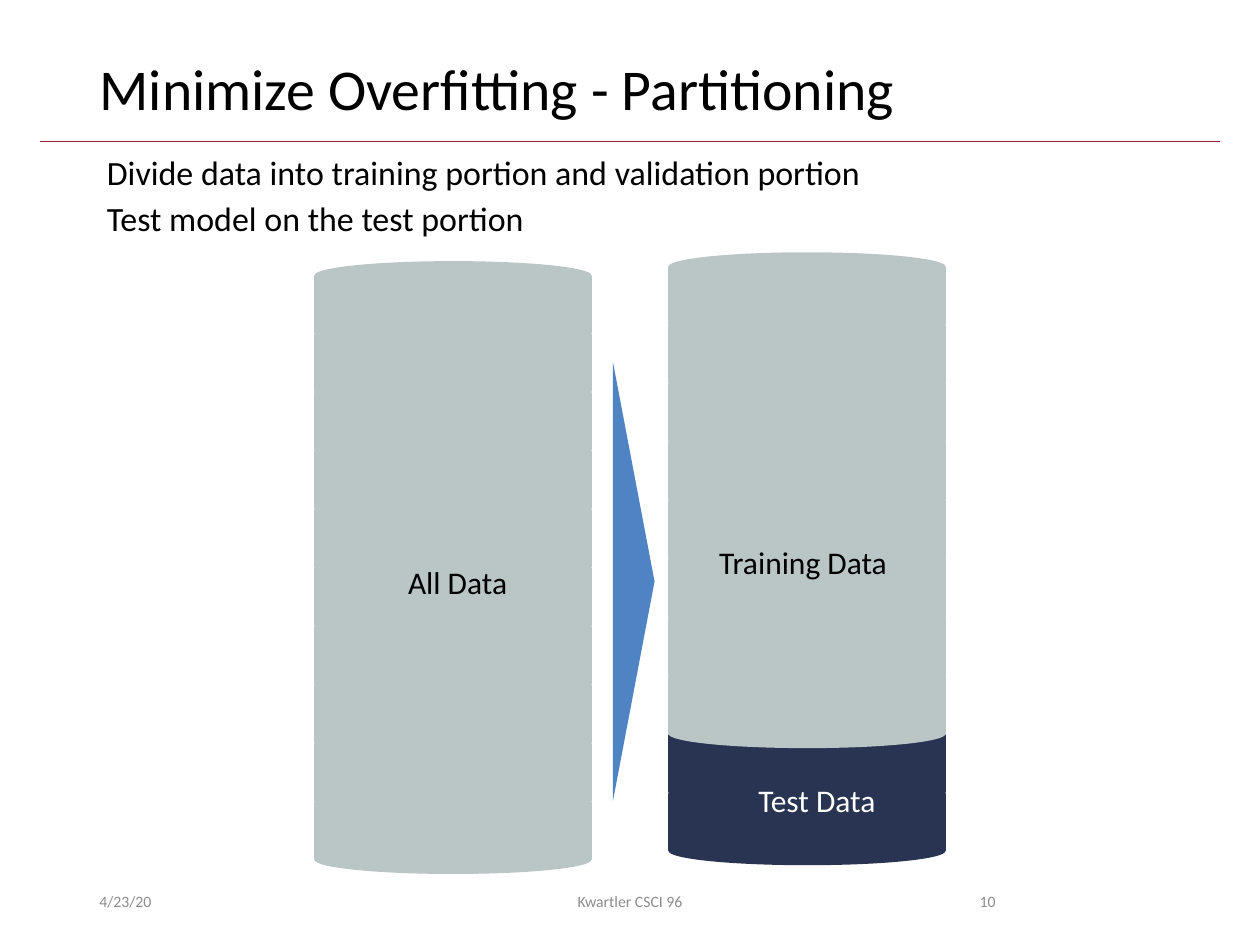
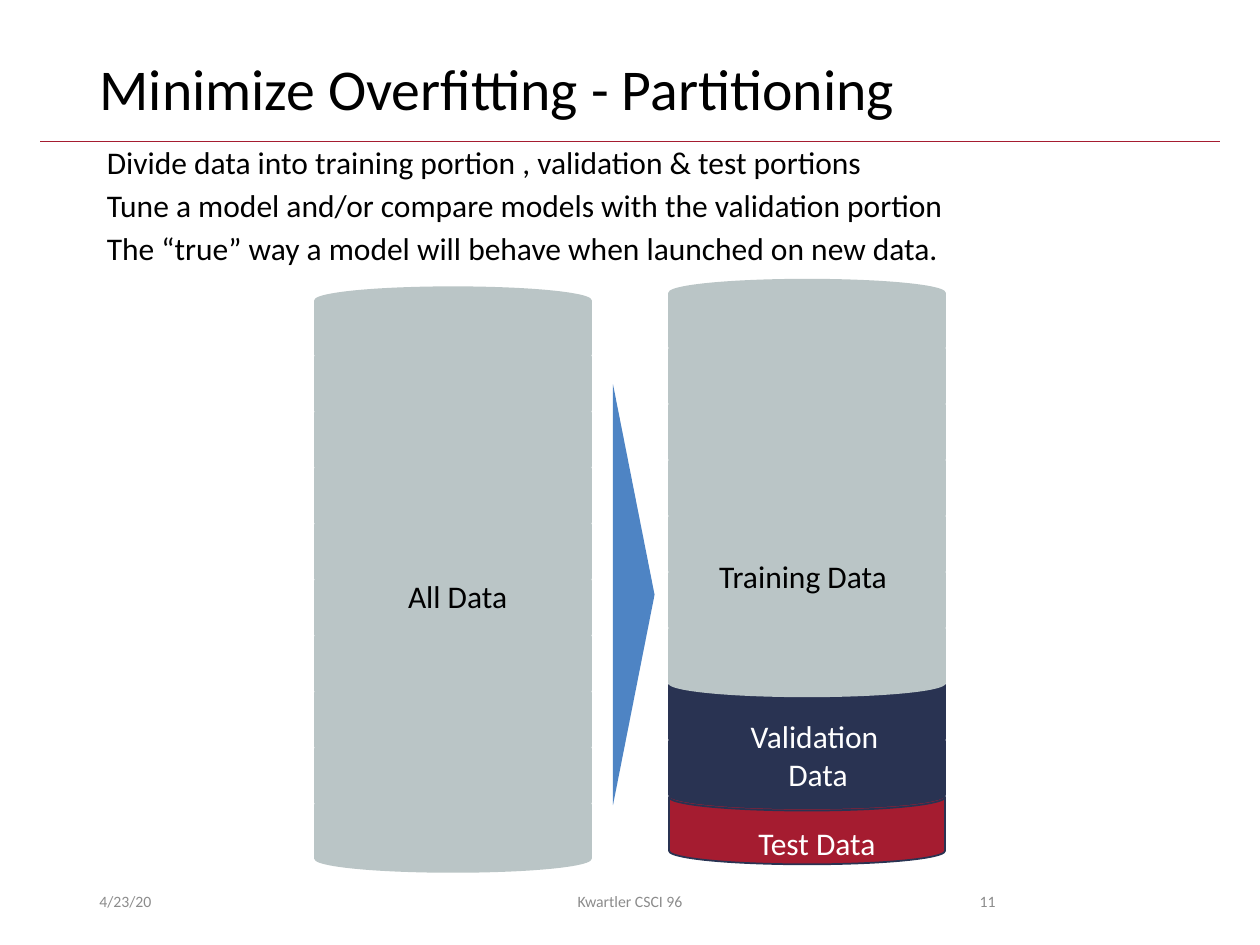
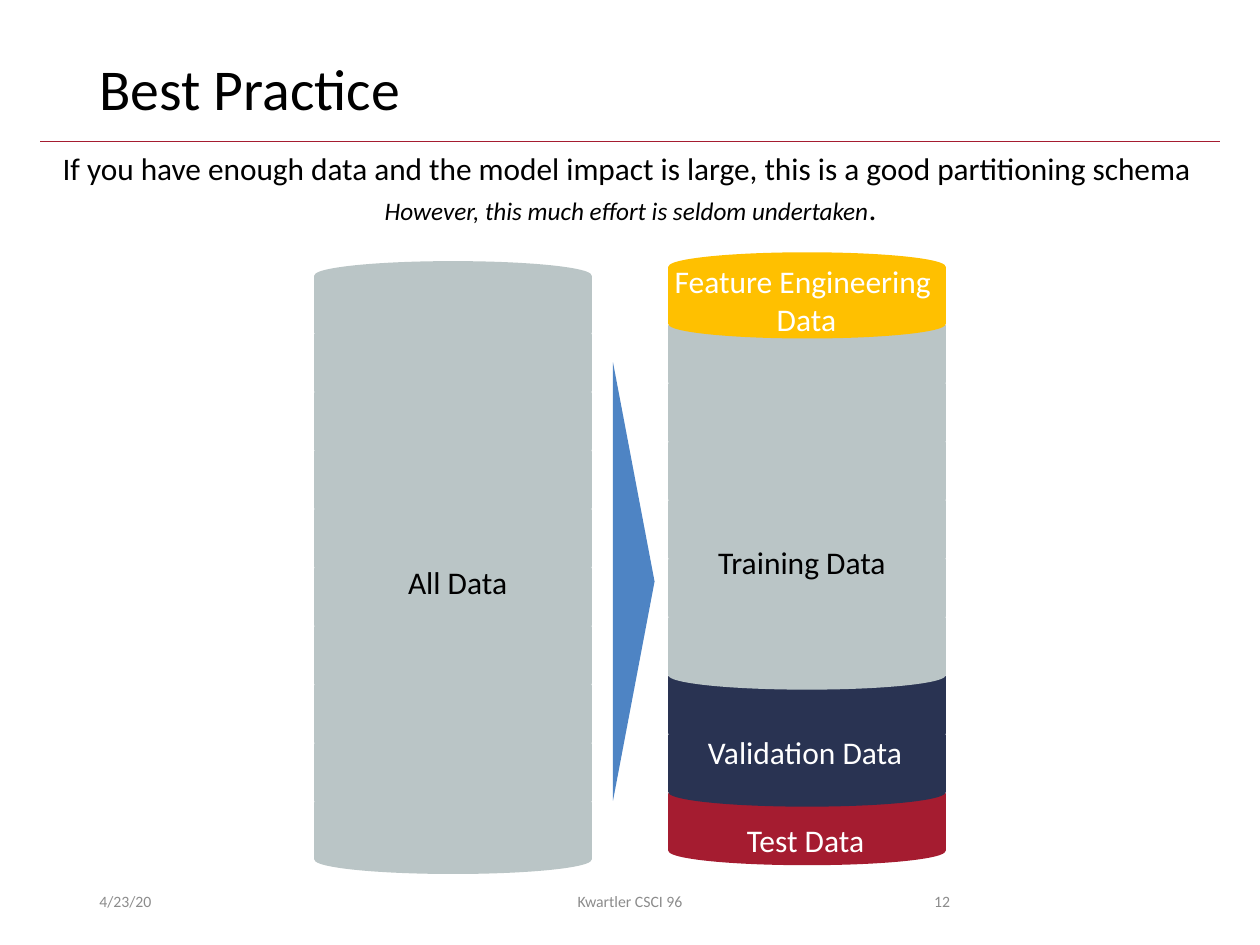
from lxml import etree
from pptx import Presentation, util as u
from pptx.dml.color import RGBColor
from pptx.enum import shapes, text
from pptx.oxml import ns

FONT = "Calibri"
BLACK, WHITE, MUTED = "000000", "FFFFFF", "8C8C8C"
GREY, NAVY, RED, GOLD, BLUE = "BAC5C6", "293352", "A51C30", "FFC000", "4E84C4"
LEFT, CENTER, RIGHT = text.PP_ALIGN.LEFT, text.PP_ALIGN.CENTER, text.PP_ALIGN.RIGHT

ALL_LEFT, SPLIT_LEFT, DISK_WIDTH = 2.5, 5.31, 2.19
DISK_COUNT = 10
ARROW_CENTER, ARROW_DEPTH = 5.03, 0.33

# Vertical measures of the diagram: top and bottom are those of the outer disks
TALL = dict(all_top=2.08, all_bottom=6.26, split_top=2.01, split_bottom=6.19,
            disk=0.67, arrow_middle=4.615, arrow_span=3.48)
SHORT = dict(all_top=2.28, all_bottom=6.28, split_top=2.22, split_bottom=6.22,
             disk=0.64, arrow_middle=4.72, arrow_span=3.34)


def color(value):
    return RGBColor.from_string(value)


def inches(box):
    return [u.Inches(value) for value in box]


# Text
def write_text(frame, lines, size=18, ink=BLACK, align=LEFT, spacing=None,
               before=None, hanging=0, anchor=text.MSO_ANCHOR.TOP, wrap=True):
    """Each line is a string or a list of (text, size, italic) runs."""
    frame.word_wrap = wrap
    frame.auto_size = (text.MSO_AUTO_SIZE.NONE if wrap
                       else text.MSO_AUTO_SIZE.SHAPE_TO_FIT_TEXT)
    frame.vertical_anchor = anchor
    for index, line in enumerate(lines):
        paragraph = frame.add_paragraph() if index else frame.paragraphs[0]
        paragraph.alignment = align
        if spacing:
            paragraph.line_spacing = spacing
        if before:
            paragraph.space_before = u.Pt(before)
        if hanging:
            properties = paragraph._p.get_or_add_pPr()
            properties.set("marL", str(u.Inches(hanging)))
            properties.set("indent", str(-u.Inches(hanging)))
        runs = [(line, size, False)] if isinstance(line, str) else line
        for content, run_size, italic in runs:
            run = paragraph.add_run()
            run.text = content
            run.font.name = FONT
            run.font.size = u.Pt(run_size)
            run.font.italic = italic
            run.font.color.rgb = color(ink)


def add_text(slide, box, lines, **style):
    write_text(slide.shapes.add_textbox(*inches(box)).text_frame, lines, **style)


def add_label(slide, box, *lines, ink=WHITE, align=LEFT):
    add_text(slide, box, lines, ink=ink, align=align, wrap=False)


def add_body(slide, box, lines, **style):
    add_text(slide, box, lines, before=7.5, hanging=0.19, **style)


# Shapes
def add_filled(slide, kind, box, fill, line=None):
    shape = slide.shapes.add_shape(kind, *inches(box))
    shape.shadow.inherit = False
    shape.fill.solid()
    shape.fill.fore_color.rgb = color(fill)
    if line:
        shape.line.color.rgb = color(line)
        shape.line.width = u.Pt(1)
    else:
        shape.line.fill.background()
    return shape


def add_stack(slide, left, top, bottom, disk, layers):
    """Pile up disks from the bottom; each layer is (count, fill, line)."""
    step = (bottom - top) / (DISK_COUNT - 1)
    disks = [(fill, line) for count, fill, line in layers for _ in range(count)]
    for index, (fill, line) in enumerate(disks):
        add_filled(slide, shapes.MSO_SHAPE.FLOWCHART_MAGNETIC_DISK,
                   (left, bottom - index * step, DISK_WIDTH, disk), fill, line)


def add_diagram(slide, measures, layers, all_label, training_label):
    m = measures
    add_stack(slide, ALL_LEFT, m["all_top"], m["all_bottom"], m["disk"],
              [(DISK_COUNT, GREY, GREY)])
    add_label(slide, all_label, "All Data", ink=BLACK)
    arrow = add_filled(slide, shapes.MSO_SHAPE.ISOSCELES_TRIANGLE,
                       (ARROW_CENTER - m["arrow_span"] / 2,
                        m["arrow_middle"] - ARROW_DEPTH / 2,
                        m["arrow_span"], ARROW_DEPTH), BLUE)
    arrow.rotation = 90
    add_stack(slide, SPLIT_LEFT, m["split_top"], m["split_bottom"], m["disk"], layers)
    add_label(slide, training_label, "Training Data", ink=BLACK)


# Shared frame: title, rule and footers
def add_slide(presentation, title, number, number_left=7.06):
    slide = presentation.slides.add_slide(presentation.slide_layouts[5])
    heading = slide.shapes.title
    heading.left, heading.top, heading.width, heading.height = inches((0.69, 0.4, 8.62, 0.65))
    write_text(heading.text_frame, [title], size=33, spacing=0.9,
               anchor=text.MSO_ANCHOR.MIDDLE)

    rule = slide.shapes.add_connector(shapes.MSO_CONNECTOR.STRAIGHT,
                                      *inches((0.32, 1.12, 9.68, 1.12)))
    rule.line.color.rgb = color(RED)
    rule.line.width = u.Pt(0.5)
    etree.SubElement(rule._element.spPr, ns.qn("a:effectLst"))

    for left, width, content, align in ((0.69, 2.25, "4/23/20", LEFT),
                                        (3.31, 3.38, "Kwartler CSCI 96", CENTER),
                                        (number_left, 0.94, str(number), RIGHT)):
        add_text(slide, (left, 6.95, width, 0.4), [content], size=9, ink=MUTED,
                 align=align, anchor=text.MSO_ANCHOR.MIDDLE)
    return slide


# Slides
def add_two_way_split(presentation):
    slide = add_slide(presentation, "Minimize Overfitting - Partitioning", 10)
    add_body(slide, (0.75, 1.22, 8.5, 0.75),
             ["Divide data into training portion and validation portion",
              "Test model on the test portion"], size=19.4, spacing=0.8)
    add_diagram(slide, TALL, [(2, NAVY, NAVY), (8, GREY, GREY)],
                (3.14, 4.42, 1, 0.4), (5.61, 4.26, 1.61, 0.4))
    add_label(slide, (5.92, 6.15, 1.14, 0.4), "Test Data")


def add_three_way_split(presentation):
    slide = add_slide(presentation, "Minimize Overfitting - Partitioning", 11)
    add_body(slide, (0.75, 1.14, 8.5, 1.08),
             ["Divide data into training portion , validation & test portions",
              "Tune a model and/or compare models with the validation portion",
              "The “true” way a model will behave when launched on new data."],
             size=18, spacing=0.8)
    add_diagram(slide, SHORT, [(1, RED, NAVY), (2, NAVY, NAVY), (7, GREY, GREY)],
                (3.14, 4.53, 1, 0.39), (5.61, 4.37, 1.61, 0.39))
    add_label(slide, (5.92, 6.49, 1.14, 0.39), "Test Data")
    add_label(slide, (5.85, 5.64, 1.23, 0.71), "Validation", " Data", align=CENTER)


def add_best_practice(presentation):
    slide = add_slide(presentation, "Best Practice", 12, number_left=6.7)
    add_body(slide, (0.14, 1.22, 9.73, 0.65),
             ["If you have enough data and the model impact is large, "
              "this is a good partitioning schema ",
              [("However, this much effort is seldom undertaken", 14.4, True),
               (".", 17.9, False)]],
             size=17.9, spacing=0.7, align=CENTER)
    add_diagram(slide, TALL,
                [(1, RED, RED), (2, NAVY, NAVY), (6, GREY, GREY), (1, GOLD, GOLD)],
                (3.14, 4.42, 1, 0.4), (5.6, 4.26, 1.61, 0.4))
    add_label(slide, (5.24, 2.03, 2.32, 0.71), "Feature Engineering ", "Data",
              align=CENTER)
    add_label(slide, (5.83, 6.47, 1.14, 0.4), "Test Data")
    add_label(slide, (5.52, 5.77, 1.76, 0.4), "Validation Data")


def main():
    presentation = Presentation()
    presentation.slide_width, presentation.slide_height = inches((10, 7.5))
    add_two_way_split(presentation)
    add_three_way_split(presentation)
    add_best_practice(presentation)
    presentation.save("out.pptx")


if __name__ == "__main__":
    main()
